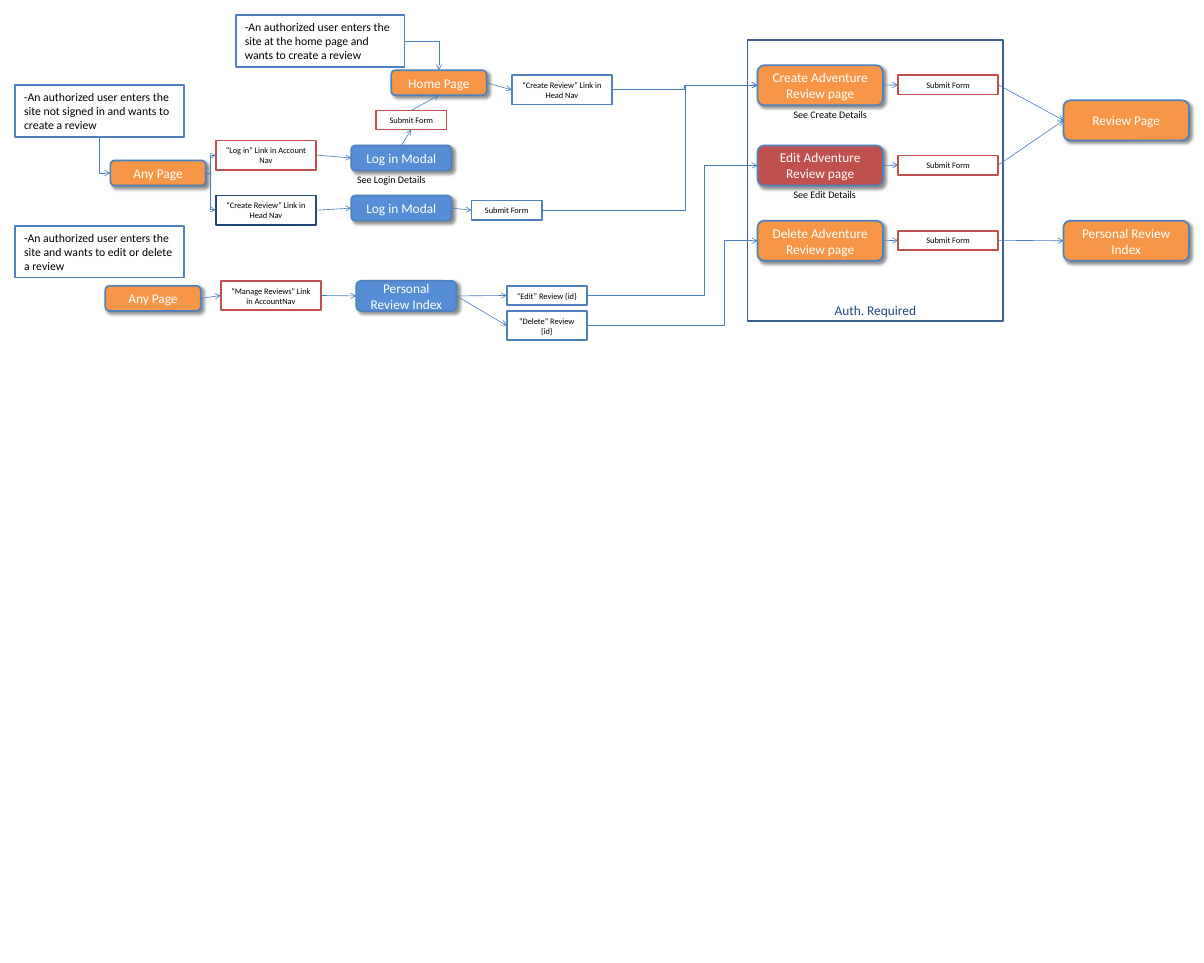
from lxml.etree import SubElement as Sub
from pptx import Presentation
from pptx.dml.color import RGBColor
from pptx.enum.shapes import MSO_CONNECTOR as Link, MSO_SHAPE as Kind
from pptx.enum.text import MSO_ANCHOR as Anchor, PP_ALIGN as Align
from pptx.oxml.ns import qn
from pptx.util import Pt

ORANGE, RED, BLUE, SKY, NAVY = "F79646", "C0504D", "4F81BD", "558ED5", "1F497D"
WHITE, BLACK = "FFFFFF", "000000"
TOP, LEFT, BOTTOM, RIGHT = range(4)

deck = Presentation()
deck.slide_width, deck.slide_height = Pt(1440), Pt(1152)
shapes = deck.slides.add_slide(deck.slide_layouts[6]).shapes


def rgb(code):
    return RGBColor.from_string(code)


def write(shape, text, size, color, align, anchor, side, edge):
    frame = shape.text_frame
    frame.word_wrap = True
    frame.vertical_anchor = anchor
    frame.margin_left = frame.margin_right = Pt(side)
    frame.margin_top = frame.margin_bottom = Pt(edge)
    frame.text = text
    para = frame.paragraphs[0]
    para.alignment = align
    font = para.runs[0].font
    font.name, font.size = "Calibri", Pt(size)
    font.color.rgb = rgb(color)


zone = shapes.add_shape(Kind.RECTANGLE, Pt(894), Pt(48), Pt(306), Pt(336))
zone.shadow.inherit = False
zone.fill.background()
zone.line.color.rgb = rgb("3A5F8C")
zone.line.width = Pt(2)
write(zone, "Auth. Required", 16, NAVY, Align.CENTER, Anchor.BOTTOM, 7.2, 3.6)

nodes = {}

cards = [
    ("note any", 18, 102, 202, 62, BLUE, "-An authorized user enters the site not signed in and wants to create a review"),
    ("note home", 282, 18, 202, 62, BLUE, "-An authorized user enters the site at the home page and wants to create a review"),
    ("note edit", 18, 270, 202, 62, BLUE, "-An authorized user enters the site and wants to edit or delete a review"),
    ("home link", 612, 90, 120, 35, BLUE, "“Create Review” Link in Head Nav"),
    ("log link", 258, 168, 120, 35, RED, "“Log in” Link in Account Nav"),
    ("new link", 258, 234, 120, 35, NAVY, "“Create Review” Link in Head Nav"),
    ("own link", 264, 336, 120, 35, RED, "“Manage Reviews” Link in AccountNav"),
    ("edit link", 606, 342, 96, 23, BLUE, "“Edit” Review {id}"),
    ("cut link", 606, 372, 96, 35, BLUE, "“Delete” Review {id}"),
    ("log send", 450, 132, 84, 23, RED, "Submit Form"),
    ("new send", 564, 240, 84, 23, BLUE, "Submit Form"),
    ("make send", 1074, 90, 120, 23, RED, "Submit Form"),
    ("edit send", 1074, 186, 120, 23, RED, "Submit Form"),
    ("cut send", 1074, 276, 120, 23, RED, "Submit Form"),
]
for name, x, y, w, h, edge, text in cards:
    card = nodes[name] = shapes.add_shape(Kind.RECTANGLE, Pt(x), Pt(y), Pt(w), Pt(h))
    card.shadow.inherit = False
    card.fill.solid()
    card.fill.fore_color.rgb = rgb(WHITE)
    card.line.color.rgb = rgb(edge)
    card.line.width = Pt(2)
    note = name.startswith("note")
    write(card, text, 14 if note else 10, BLACK, Align.LEFT if note else Align.CENTER,
          Anchor.TOP, 10.8, 5.76)

pages = [
    ("home", 468, 84, 114, 30, ORANGE, "Home Page"),
    ("any", 132, 192, 114, 30, ORANGE, "Any Page"),
    ("start", 126, 342, 114, 30, ORANGE, "Any Page"),
    ("log", 420, 174, 120, 30, SKY, "Log in Modal"),
    ("new log", 420, 234, 120, 30, SKY, "Log in Modal"),
    ("own", 426, 336, 120, 36, SKY, "Personal Review Index"),
    ("make", 906, 78, 150, 48, ORANGE, "Create Adventure Review page"),
    ("edit", 906, 174, 150, 48, RED, "Edit Adventure Review page"),
    ("cut", 906, 264, 150, 48, ORANGE, "Delete Adventure Review page"),
    ("view", 1272, 120, 150, 48, ORANGE, "Review Page"),
    ("list", 1272, 264, 150, 48, ORANGE, "Personal Review Index"),
]
for name, x, y, w, h, fill, text in pages:
    page = nodes[name] = shapes.add_shape(Kind.ROUNDED_RECTANGLE, Pt(x), Pt(y), Pt(w), Pt(h))
    page.shadow.inherit = False
    page.fill.solid()
    page.fill.fore_color.rgb = rgb(fill)
    page.line.color.rgb = rgb(BLUE)
    page.line.width = Pt(2)
    glow = Sub(page._element.spPr.find(qn("a:effectLst")), qn("a:outerShdw"),
               blurRad=str(Pt(4)), dist=str(Pt(4)), dir="2700000", algn="tl", rotWithShape="0")
    Sub(Sub(glow, qn("a:srgbClr"), val=BLACK), qn("a:alpha"), val="43000")
    write(page, text, 16, WHITE, Align.CENTER, Anchor.MIDDLE, 15, 7.2)

for x, y, text in [(420, 204, "See Login Details"), (942, 126, "See Create Details"),
                   (942, 222, "See Edit Details")]:
    label = shapes.add_textbox(Pt(x), Pt(y), Pt(108), Pt(22))
    write(label, text, 12, BLACK, Align.LEFT, Anchor.TOP, 7.2, 3.6)

flows = [
    ("home", RIGHT, "home link", LEFT, None),
    ("home link", RIGHT, "make", LEFT, 0.5),
    ("any", RIGHT, "log link", LEFT, 0.5),
    ("any", RIGHT, "new link", LEFT, 0.5),
    ("log link", RIGHT, "log", LEFT, None),
    ("log", TOP, "log send", BOTTOM, None),
    ("log send", TOP, "home", BOTTOM, None),
    ("new link", RIGHT, "new log", LEFT, None),
    ("new log", RIGHT, "new send", LEFT, None),
    ("new send", RIGHT, "make", LEFT, 0.664),
    ("start", RIGHT, "own link", LEFT, None),
    ("own link", RIGHT, "own", LEFT, None),
    ("own", RIGHT, "edit link", LEFT, None),
    ("own", RIGHT, "cut link", LEFT, None),
    ("edit link", RIGHT, "edit", LEFT, 0.69),
    ("cut link", RIGHT, "cut", LEFT, 0.803),
    ("make", RIGHT, "make send", LEFT, None),
    ("edit", RIGHT, "edit send", LEFT, None),
    ("cut", RIGHT, "cut send", LEFT, None),
    ("make send", RIGHT, "view", LEFT, None),
    ("edit send", RIGHT, "view", LEFT, None),
    ("cut send", RIGHT, "list", LEFT, None),
    ("note home", RIGHT, "home", TOP, "corner"),
    ("any", LEFT, "note any", BOTTOM, "corner"),
]
for source, out, target, into, bend in flows:
    flow = shapes.add_connector(Link.ELBOW if bend else Link.STRAIGHT, 0, 0, 0, 0)
    flow.begin_connect(nodes[source], out)
    flow.end_connect(nodes[target], into)
    flow.line.color.rgb = rgb("4B7EBC")
    flow.line.width = Pt(0.75)
    props = flow._element.spPr
    tip = "a:headEnd" if target == "note any" else "a:tailEnd"
    Sub(props.find(qn("a:ln")), qn(tip), type="arrow")
    Sub(props, qn("a:effectLst"))
    form = props.find(qn("a:prstGeom"))
    if bend == "corner":
        form.set("prst", "bentConnector2")
    elif bend:
        Sub(form.find(qn("a:avLst")), qn("a:gd"), name="adj1", fmla=f"val {round(bend * 100000)}")

deck.save("out.pptx")
